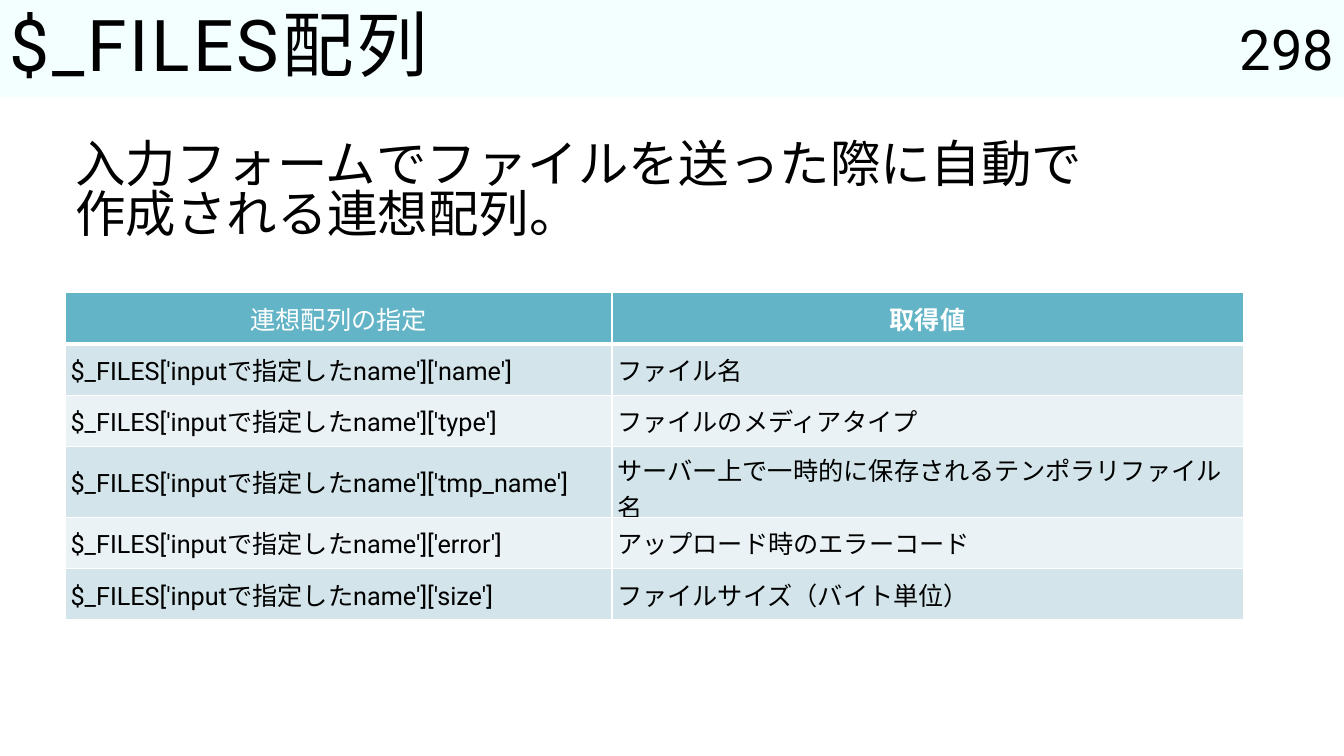
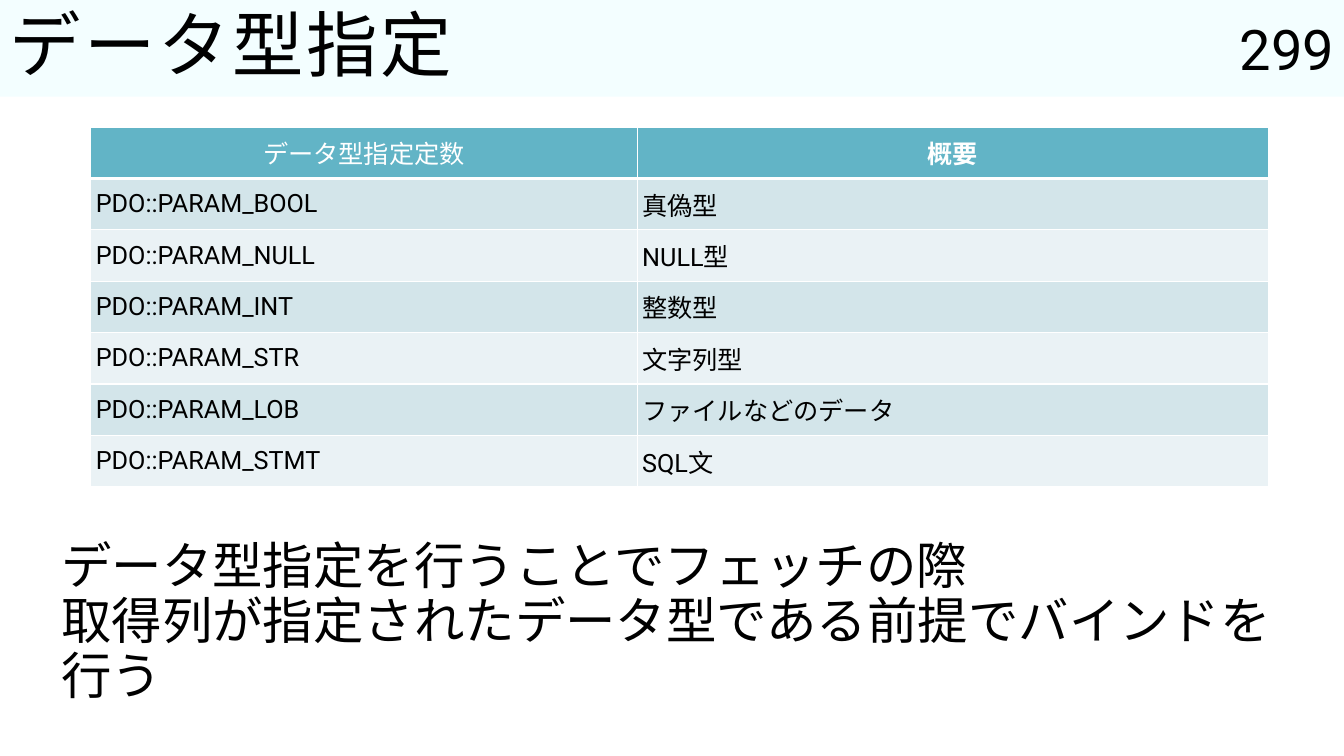
from lxml import etree
from pptx import Presentation
from pptx.dml.color import RGBColor
from pptx.enum.shapes import MSO_SHAPE
from pptx.enum.text import MSO_ANCHOR, PP_ALIGN
from pptx.oxml.ns import qn
from pptx.util import Inches, Pt

RECTANGLE = MSO_SHAPE.RECTANGLE
TOP, MIDDLE = MSO_ANCHOR.TOP, MSO_ANCHOR.MIDDLE
LEFT, CENTER, RIGHT = PP_ALIGN.LEFT, PP_ALIGN.CENTER, PP_ALIGN.RIGHT

BLACK, WHITE = "000000", "FFFFFF"
BAND, HEADER = "F3FEFF", "62B4C6"
STRIPES = ["D3E5EA", "EAF2F5"]
LATIN, JAPANESE = "Roboto", "Noto Sans CJK JP"
SLIDE_W, SLIDE_H, BAND_H = 13.33, 7.5, 0.96
NUMBER_W = 1.5
COLUMNS, ROW_H = [5.42, 6.26], 0.51
CELL_MARGIN = 0.05

FILE_KEYS = [
    ("name", "ファイル名"),
    ("type", "ファイルのメディアタイプ"),
    ("tmp_name", "サーバー上で一時的に保存されるテンポラリファイル名"),
    ("error", "アップロード時のエラーコード"),
    ("size", "ファイルサイズ（バイト単位）"),
]
DATA_TYPES = [
    ("BOOL", "真偽型"),
    ("NULL", "NULL型"),
    ("INT", "整数型"),
    ("STR", "文字列型"),
    ("LOB", "ファイルなどのデータ"),
    ("STMT", "SQL文"),
]
SLIDES = [
    {
        "title": "$_FILES配列",
        "number": "298",
        "body": "入力フォームでファイルを送った際に自動で\n作成される連想配列。",
        "body_at": (0.65, 1.31, 11.89, 1.38),
        "spacing": 0.83,
        "table_at": (0.65, 2.9),
        "header": ("連想配列の指定", "取得値"),
        "rows": [(f"$_FILES['inputで指定したname']['{key}']", value)
                 for key, value in FILE_KEYS],
    },
    {
        "title": "データ型指定",
        "number": "299",
        "body": "データ型指定を行うことでフェッチの際\n"
                "取得列が指定されたデータ型である前提でバインドを行う",
        "body_at": (0.51, 5.26, 12.4, 1.86),
        "spacing": 0.91,
        "table_at": (0.9, 1.26),
        "header": ("データ型指定定数", "概要"),
        "rows": [(f"PDO::PARAM_{name}", meaning) for name, meaning in DATA_TYPES],
    },
]


def rgb(value):
    return RGBColor.from_string(value)


def write(frame, text, size, color=BLACK, font=LATIN, align=LEFT,
          bold=False, spacing=None, tracking=None):
    paragraph = frame.paragraphs[0]
    paragraph.text = text
    paragraph.alignment = align
    if spacing:
        paragraph.line_spacing = spacing
    for run in paragraph.runs:
        run.font.size = Pt(size)
        run.font.bold = bold
        run.font.color.rgb = rgb(color)
        run.font.name = font
        properties = run.font._element
        etree.SubElement(properties, qn("a:ea"), typeface=JAPANESE)
        if tracking:
            properties.set("spc", str(tracking * 100))


def add_text(slide, at, text, size, anchor=TOP, margin_top=0.05, **style):
    frame = slide.shapes.add_textbox(*map(Inches, at)).text_frame
    frame.word_wrap = True
    frame.vertical_anchor = anchor
    frame.margin_top = Inches(margin_top)
    write(frame, text, size, **style)


def add_title(slide, text):
    band = slide.shapes.add_shape(RECTANGLE, 0, 0, Inches(SLIDE_W), Inches(BAND_H))
    band.shadow.inherit = False
    band.fill.solid()
    band.fill.fore_color.rgb = rgb(BAND)
    band.line.fill.background()
    band.text_frame.word_wrap = True
    band.text_frame.vertical_anchor = MIDDLE
    write(band.text_frame, text, 51, spacing=0.9, tracking=2)


def add_borders(cell, top, bottom):
    properties = cell._tc.get_or_add_tcPr()
    for side, width in (("L", 1), ("R", 1), ("T", top), ("B", bottom)):
        line = etree.SubElement(properties, qn(f"a:ln{side}"), w=str(Pt(width)))
        fill = etree.SubElement(line, qn("a:solidFill"))
        etree.SubElement(fill, qn("a:srgbClr"), val=WHITE)


def style_cell(cell, text, row, column):
    is_header = row == 0
    add_borders(cell, 3 if row == 1 else 1, 3 if is_header else 1)
    cell.fill.solid()
    cell.fill.fore_color.rgb = rgb(HEADER if is_header else STRIPES[(row - 1) % 2])
    cell.vertical_anchor = MIDDLE
    if is_header:
        write(cell.text_frame, text, 18, WHITE, JAPANESE, CENTER, bold=column == 1)
    else:
        cell.margin_left = cell.margin_right = Inches(CELL_MARGIN)
        cell.margin_top = cell.margin_bottom = Inches(CELL_MARGIN)
        write(cell.text_frame, text, 18)


def add_grid(slide, at, records):
    size = (sum(COLUMNS), ROW_H * len(records))
    grid = slide.shapes.add_table(
        len(records), len(COLUMNS), *map(Inches, at + size)).table
    for column, width in zip(grid.columns, COLUMNS):
        column.width = Inches(width)
    for row, record in enumerate(records):
        grid.rows[row].height = Inches(ROW_H)
        for column, text in enumerate(record):
            style_cell(grid.cell(row, column), text, row, column)


def main():
    deck = Presentation()
    deck.slide_width, deck.slide_height = Inches(SLIDE_W), Inches(SLIDE_H)
    for content in SLIDES:
        slide = deck.slides.add_slide(deck.slide_layouts[6])
        add_title(slide, content["title"])
        add_text(slide, content["body_at"], content["body"], 36,
                 margin_top=0.1, spacing=content["spacing"])
        add_text(slide, (SLIDE_W - NUMBER_W, 0, NUMBER_W, BAND_H),
                 content["number"], 40, anchor=MIDDLE, align=RIGHT)
        add_grid(slide, content["table_at"], [content["header"], *content["rows"]])
    deck.save("out.pptx")


if __name__ == "__main__":
    main()
